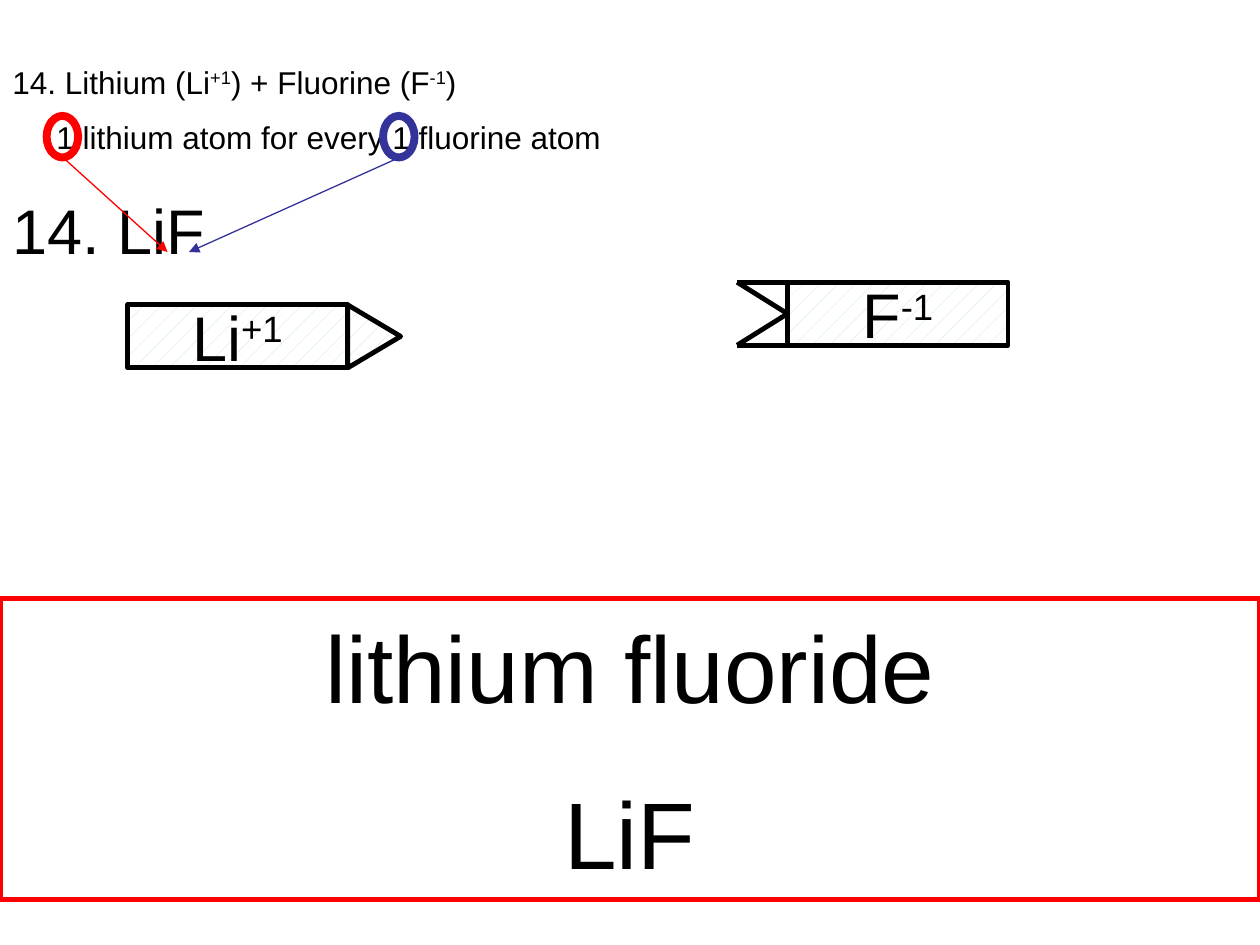
import pptx
import pptx.util
import pptx.dml.color
import pptx.enum.dml
import pptx.enum.shapes
import pptx.enum.text
import pptx.oxml.ns
import lxml.etree

Inches = pptx.util.Inches
Pt = pptx.util.Pt
Shape = pptx.enum.shapes.MSO_SHAPE
Align = pptx.enum.text.PP_ALIGN
Anchor = pptx.enum.text.MSO_ANCHOR

COLOURS = {"ink": "000000", "red": "FF0000", "blue": "333399", "tint": "BBE0E3", "paper": "FFFFFF"}


def colour(name):
    """Return the named colour as an RGB value."""
    return pptx.dml.color.RGBColor.from_string(COLOURS[name])


def add_runs(para, runs, size):
    """Add (text, is_superscript) runs to a paragraph."""
    for text, raised in runs:
        span = para.add_run()
        span.text = text
        span.font.name = "Arial"
        span.font.size = Pt(size)
        span.font.color.rgb = colour("ink")
        if raised:
            span._r.get_or_add_rPr().set("baseline", "30000")


def add_outline(parent, kind, box, line, width):
    """Add an unfilled, outlined shape in the given box."""
    shape = parent.shapes.add_shape(kind, *(Inches(length) for length in box))
    shape.shadow.inherit = False
    shape.fill.background()
    shape.line.color.rgb = colour(line)
    shape.line.width = Pt(width)
    return shape


def add_line(parent, start, end, line, width, arrow=False):
    """Add a straight line, with an arrowhead at its end if asked."""
    points = [Inches(length) for length in (*start, *end)]
    connector = parent.shapes.add_connector(pptx.enum.shapes.MSO_CONNECTOR.STRAIGHT, *points)
    connector.line.color.rgb = colour(line)
    connector.line.width = Pt(width)
    if arrow:
        outline = connector.line._get_or_add_ln()
        lxml.etree.SubElement(outline, pptx.oxml.ns.qn("a:tailEnd"), type="triangle")
    lxml.etree.SubElement(connector._element.spPr, pptx.oxml.ns.qn("a:effectLst"))


def add_patterned(parent, kind, box):
    """Add a lightly patterned ion part with a heavy outline."""
    shape = add_outline(parent, kind, box, "ink", 2.75)
    shape.fill.patterned()
    shape.fill.pattern = pptx.enum.dml.MSO_PATTERN.PERCENT_5
    shape.fill.fore_color.rgb = colour("tint")
    shape.fill.back_color.rgb = colour("paper")
    return shape


def add_ion_body(parent, left, top, symbol, charge):
    """Add the labelled rectangle of an ion."""
    body = add_patterned(parent, Shape.RECTANGLE, (left, top, 1.75, 0.5))
    frame = body.text_frame
    frame.word_wrap = False
    frame.vertical_anchor = Anchor.MIDDLE
    frame.paragraphs[0].alignment = Align.CENTER
    add_runs(frame.paragraphs[0], [(symbol, False), (charge, True)], 36)


def add_cation(page, left, top):
    """Add the lithium ion with its pointed right end."""
    group = page.shapes.add_group_shape()
    add_ion_body(group, left, top, "Li", "+1")
    tip = add_patterned(group, Shape.ISOSCELES_TRIANGLE, (left + 1.71, top + 0.04, 0.5, 0.42))
    tip.rotation = 90


def add_anion(page, left, top):
    """Add the fluorine ion with its notched left end."""
    group = page.shapes.add_group_shape()
    add_ion_body(group, left, top, "F", "-1")
    for edge in (top, top + 0.5):
        for start in (edge, top + 0.25):
            add_line(group, (left, start), (left - 0.4, edge), "ink", 2.75)


def add_problem(page, left, top):
    """Add the question, the atom ratio and the formula."""
    box = page.shapes.add_textbox(Inches(left), Inches(top), Inches(5.67), Inches(1.75))
    frame = box.text_frame
    frame.word_wrap = True
    question = [("14. Lithium (Li", False), ("+1", True), (") + Fluorine (F", False), ("-1", True), (")", False)]
    rows = [
        (question, 18, 0, -0.38),
        ([("1 lithium atom for every 1 fluorine atom", False)], 18, 10, -0.03),
        ([("14. LiF", False)], 36, 20.5, -0.38),
    ]
    for index, (runs, size, gap, indent) in enumerate(rows):
        para = frame.add_paragraph() if index else frame.paragraphs[0]
        para.space_before = Pt(gap)
        properties = para._p.get_or_add_pPr()
        properties.set("marL", str(Inches(0.38)))
        properties.set("indent", str(Inches(indent)))
        add_runs(para, runs, size)


def add_ratio_marks(page, top):
    """Circle both counts and point from each to the formula."""
    marks = [("red", 0.37, 0.5, 1.33), ("blue", 3.04, 3.17, 1.5)]
    for line, left, _, _ in marks:
        add_outline(page, Shape.OVAL, (left, top, 0.25, 0.33), line, 4.5)
    for line, _, start, end in marks:
        add_line(page, (start, top + 0.33), (end, top + 1.08), line, 0.75, arrow=True)


def add_answer(page, left, top):
    """Add the red box with the compound name and formula."""
    box = add_outline(page, Shape.RECTANGLE, (left, top, 10, 2.39), "red", 3)
    frame = box.text_frame
    frame.word_wrap = True
    frame.vertical_anchor = Anchor.MIDDLE
    for index, text in enumerate(("lithium fluoride", "LiF")):
        para = frame.add_paragraph() if index else frame.paragraphs[0]
        para.alignment = Align.CENTER
        para.space_before = Pt(30 * index)
        add_runs(para, [(text, False)], 54)


def main():
    """Build the slide and save it."""
    deck = pptx.Presentation()
    deck.slide_width = Inches(10)
    deck.slide_height = Inches(7.5)
    page = deck.slides.add_slide(deck.slide_layouts[6])
    add_problem(page, 0, 0.45)
    add_ratio_marks(page, 0.92)
    add_answer(page, 0, 4.75)
    add_cation(page, 1.01, 2.42)
    add_anion(page, 6.25, 2.24)
    deck.save("out.pptx")


if __name__ == "__main__":
    main()
